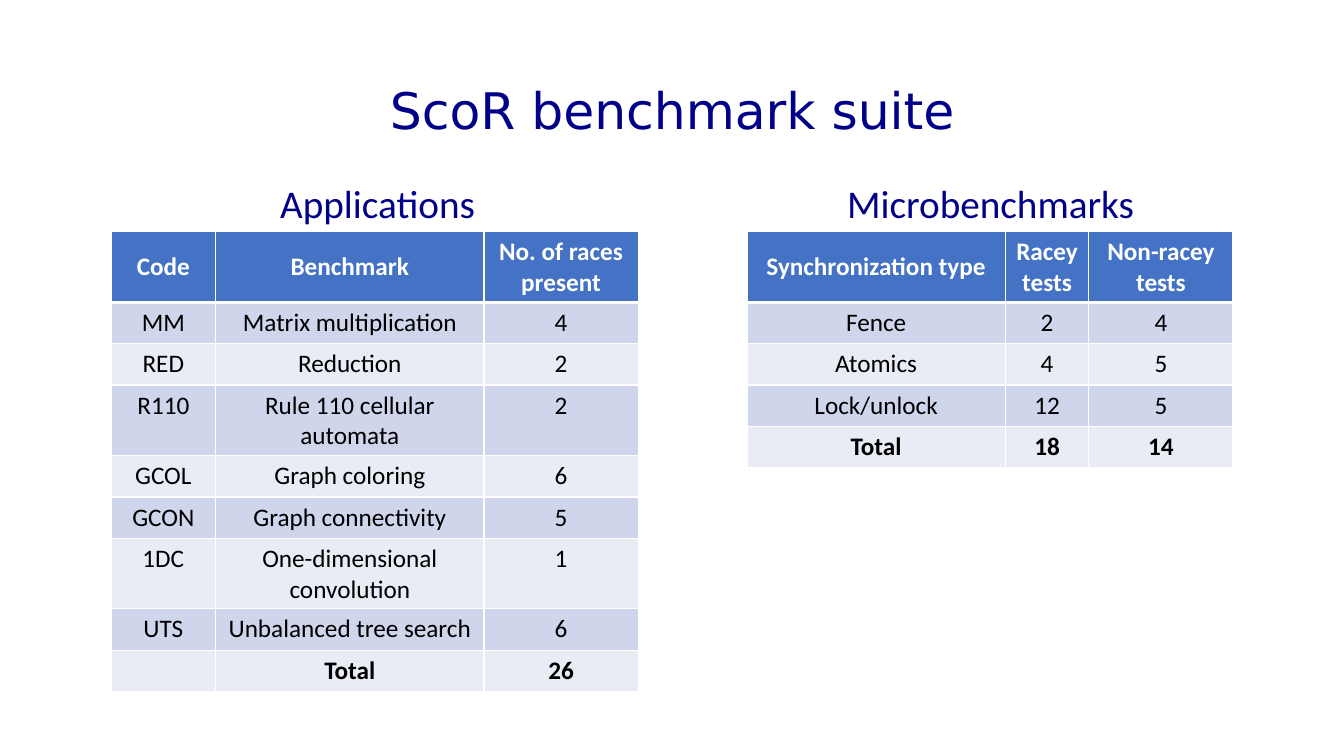
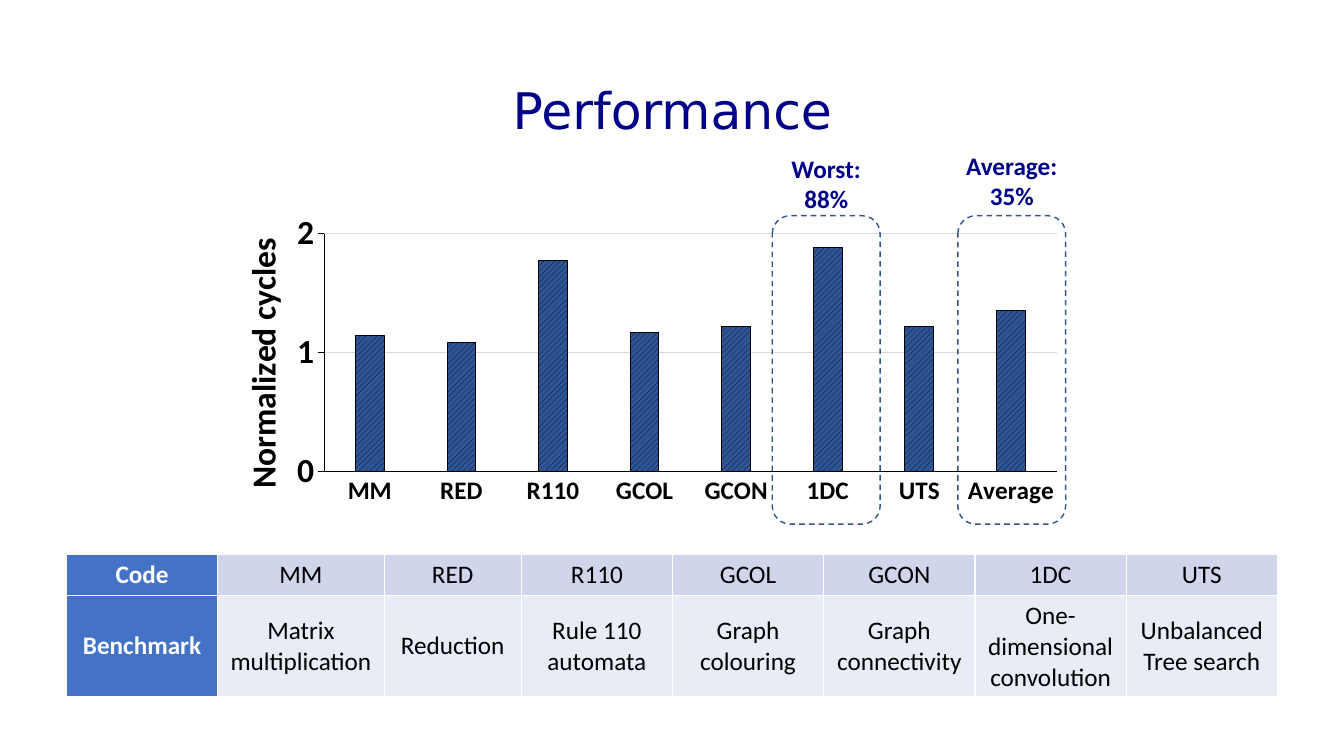
from pptx import Presentation
from pptx.chart.data import CategoryChartData
from pptx.dml.color import RGBColor
from pptx.enum.chart import XL_CHART_TYPE, XL_TICK_MARK
from pptx.enum.dml import MSO_LINE, MSO_PATTERN
from pptx.enum.shapes import MSO_SHAPE
from pptx.enum.text import MSO_ANCHOR, PP_ALIGN
from pptx.oxml import parse_xml
from pptx.oxml.ns import nsdecls, qn
from pptx.util import Inches, Pt

COLUMN = XL_CHART_TYPE.COLUMN_CLUSTERED
NO_TICK, OUT_TICK = XL_TICK_MARK.NONE, XL_TICK_MARK.OUTSIDE
DASH = MSO_LINE.DASH
STRIPES = MSO_PATTERN.WIDE_UPWARD_DIAGONAL
ROUND = MSO_SHAPE.ROUNDED_RECTANGLE
TOP, MIDDLE = MSO_ANCHOR.TOP, MSO_ANCHOR.MIDDLE
CENTER = PP_ALIGN.CENTER

COLORS = {
    "navy": "000088", "head": "4472C4", "dark": "CFD5EA", "pale": "E9EBF5",
    "white": "FFFFFF", "black": "000000", "grid": "D9D9D9",
    "bar": "2F5597", "frame": "325491",
}
BODY, TITLE = "Calibri", "DejaVu Sans"
LOW, TALL = 0.41, 0.7  # heights of one-line and two-line rows


def rgb(name):
    return RGBColor.from_string(COLORS[name])


def style(font, size, color="black", bold=False, face=BODY):
    font.size, font.bold, font.name = Pt(size), bold, face
    font.color.rgb = rgb(color)


def write(frame, words, anchor=TOP, spacing=None, **look):
    """Fill a text frame with centred paragraphs, one for each line."""
    frame.word_wrap = True
    frame.vertical_anchor = anchor
    for i, line in enumerate(words.split("\n")):
        para = frame.add_paragraph() if i else frame.paragraphs[0]
        para.alignment = CENTER
        if spacing:
            para.line_spacing = spacing
        run = para.add_run()
        run.text = line
        style(run.font, **look)


def label(slide, box, words, **look):
    shape = slide.shapes.add_textbox(*map(Inches, box))
    write(shape.text_frame, words, **look)


def new_slide(deck, title):
    slide = deck.slides.add_slide(deck.slide_layouts[6])
    label(slide, (0.92, 0.4, 11.5, 1.45), title, anchor=MIDDLE, spacing=0.9,
          size=36, color="navy", face=TITLE)
    return slide


# Tables

def edge(cell, **widths):
    """Draw white borders, with the width in points for each side."""
    props = cell._tc.get_or_add_tcPr()
    for i, side in enumerate("LRTB"):
        width = Pt(widths.get(side, 1))
        props.insert(i, parse_xml(
            f'<a:ln{side} {nsdecls("a")} w="{width}"><a:solidFill>'
            f'<a:srgbClr val="{COLORS["white"]}"/></a:solidFill></a:ln{side}>'))


def add_grid(slide, x, y, cols, heights, rows, side=False):
    """Place a table headed by its first row, or by its first column."""
    table = slide.shapes.add_table(
        len(rows), len(cols), Inches(x), Inches(y),
        Inches(sum(cols)), Inches(sum(heights))).table
    table.first_row, table.first_col = not side, side
    for col, width in zip(table.columns, cols):
        col.width = Inches(width)
    for r, row in enumerate(rows):
        table.rows[r].height = Inches(heights[r])
        for c, words in enumerate(row):
            cell = table.cell(r, c)
            head = c == 0 if side else r == 0
            band = "dark" if (r + side) % 2 else "pale"
            cell.fill.solid()
            cell.fill.fore_color.rgb = rgb("head" if head else band)
            rule = {} if side else {0: {"B": 3}, 1: {"T": 3}}.get(r, {})
            edge(cell, **rule)
            cell.vertical_anchor = MIDDLE if head or side else TOP
            if words:
                write(cell.text_frame, words, anchor=cell.vertical_anchor,
                      size=18, color="white" if head else "black",
                      bold=head or "Total" in row)


def add_suite(slide, x, y, inset, caption, cols, heights, rows):
    label(slide, (x + inset, y, 4.37, 0.57), caption, size=28, color="navy")
    add_grid(slide, x, y + 0.57, cols, heights, rows)


# Chart

def set_layout(parent, index, inner=False, **sizes):
    """Fix the place of a chart part, in fractions of the chart."""
    old = parent.find(qn("c:layout"))
    if old is not None:
        parent.remove(old)
    parts = '<c:layoutTarget val="inner"/>' if inner else ""
    parts += '<c:xMode val="edge"/><c:yMode val="edge"/>'
    parts += "".join(f'<c:{k} val="{v}"/>' for k, v in sizes.items())
    parent.insert(index, parse_xml(
        f'<c:layout {nsdecls("c")}><c:manualLayout>{parts}'
        '</c:manualLayout></c:layout>'))


def rule_line(line, color="black"):
    line.color.rgb = rgb(color)
    line.width = Pt(0.75)


def add_bars(slide, box, cats, values):
    data = CategoryChartData()
    data.categories = cats
    data.add_series("Series 1", values)
    chart = slide.shapes.add_chart(COLUMN, *map(Inches, box), data).chart
    chart.has_legend = chart.has_title = False
    style(chart.font, 16, bold=True)
    set_layout(chart._chartSpace.find(".//" + qn("c:plotArea")), 0,
               inner=True, x=0.125, y=0.185, w=0.854, h=0.634)

    # Bars
    plot = chart.plots[0]
    plot.gap_width, plot.overlap, plot.vary_by_categories = 219, -27, False
    form = plot.series[0].format
    form.fill.patterned()
    form.fill.pattern = STRIPES
    form.fill.fore_color.rgb = rgb("black")
    form.fill.back_color.rgb = rgb("bar")
    rule_line(form.line)

    # Axes
    across, up = chart.category_axis, chart.value_axis
    for axis, tick, size in ((across, NO_TICK, 18), (up, OUT_TICK, 24)):
        axis.major_tick_mark, axis.minor_tick_mark = tick, NO_TICK
        style(axis.tick_labels.font, size, bold=True)
        rule_line(axis.format.line)
    up.minimum_scale, up.maximum_scale, up.major_unit = 0, 2, 1
    rule_line(up.major_gridlines.format.line, "grid")
    write_title = up.axis_title.text_frame.paragraphs[0].add_run()
    write_title.text = "Normalized cycles"
    style(write_title.font, 24, bold=True)
    set_layout(up.axis_title._element, 1, x=0.02, y=0.18)


def add_callout(slide, x, y, rise, words):
    """Frame one bar and set its label above the frame."""
    width, span = 1.07, 1.23
    frame = slide.shapes.add_shape(
        ROUND, *map(Inches, (x, y, width, 3.06)))
    frame.shadow.inherit = False
    frame.fill.background()
    frame.line.color.rgb = rgb("frame")
    frame.line.width, frame.line.dash_style = Pt(1), DASH
    label(slide, (x + (width - span) / 2, y - rise, span, 0.71), words,
          size=18, color="navy", bold=True)


# Slides

def suite_slide(deck):
    slide = new_slide(deck, "ScoR benchmark suite")
    add_suite(slide, 1.1, 1.73, 0.46, "Applications", (1.04, 2.66, 1.53),
              (TALL, LOW, LOW, TALL, LOW, LOW, TALL, LOW, LOW), (
                  ("Code", "Benchmark", "No. of races present"),
                  ("MM", "Matrix multiplication", "4"),
                  ("RED", "Reduction", "2"),
                  ("R110", "Rule 110 cellular automata", "2"),
                  ("GCOL", "Graph coloring", "6"),
                  ("GCON", "Graph connectivity", "5"),
                  ("1DC", "One-dimensional convolution", "1"),
                  ("UTS", "Unbalanced tree search", "6"),
                  ("", "Total", "26")))
    add_suite(slide, 7.41, 1.73, 0.23, "Microbenchmarks", (2.56, 0.83, 1.43),
              (TALL, LOW, LOW, LOW, LOW), (
                  ("Synchronization type", "Racey tests", "Non-racey tests"),
                  ("Fence", "2", "4"),
                  ("Atomics", "4", "5"),
                  ("Lock/unlock", "12", "5"),
                  ("Total", "18", "14")))


def speed_slide(deck):
    slide = new_slide(deck, "Performance")
    codes = ("MM", "RED", "R110", "GCOL", "GCON", "1DC", "UTS")
    add_bars(slide, (2.15, 1.63, 8.51, 3.72), codes + ("Average",),
             (1.14, 1.08, 1.77, 1.17, 1.22, 1.88, 1.22, 1.35))
    add_callout(slide, 7.66, 2.14, 0.67, "Worst:\n88%")
    add_callout(slide, 9.5, 2.14, 0.7, "Average:\n35%")
    add_grid(slide, 0.66, 5.5, (1.5, 1.65, 1.36) + (1.5,) * 5, (LOW, 1), (
        ("Code",) + codes,
        ("Benchmark", "Matrix multiplication", "Reduction",
         "Rule 110 automata", "Graph colouring", "Graph connectivity",
         "One-dimensional convolution", "Unbalanced Tree search")), side=True)


def main():
    deck = Presentation()
    deck.slide_width, deck.slide_height = Inches(13.33), Inches(7.5)
    suite_slide(deck)
    speed_slide(deck)
    deck.save("out.pptx")


if __name__ == "__main__":
    main()
